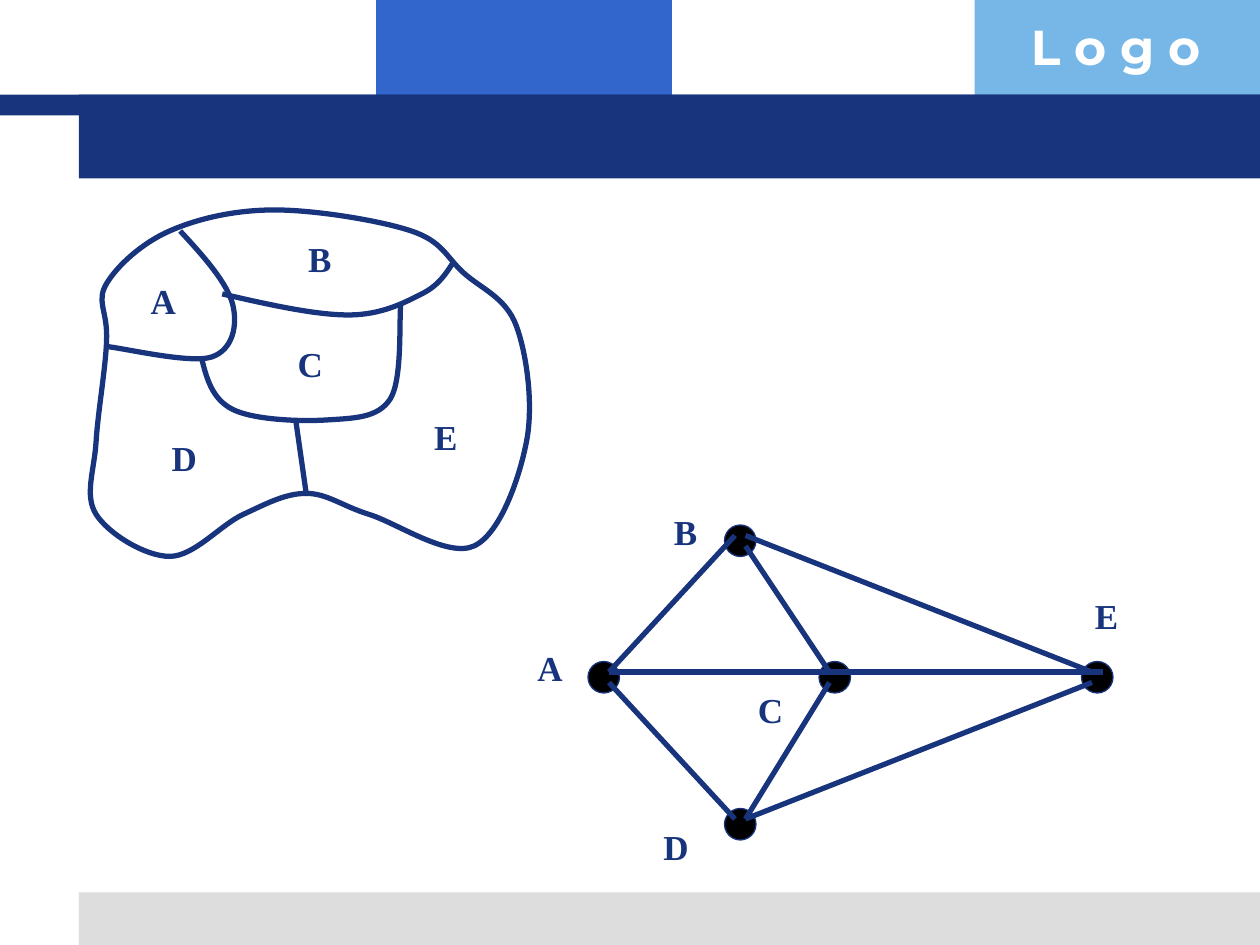
from lxml.etree import SubElement
from pptx import Presentation
from pptx.dml.color import RGBColor
from pptx.enum.shapes import MSO_CONNECTOR as Connector, MSO_SHAPE as Shape
from pptx.enum.text import MSO_AUTO_SIZE as AutoSize
from pptx.oxml.ns import qn
from pptx.util import Pt

COLORS = {"navy": "17347D", "blue": "3366CC", "sky": "77B7E7",
          "gray": "DDDDDD", "black": "000000", "white": "FFFFFF"}

BANDS = [
    (215, 0, 169, 66, "blue"),
    (557, 0, 163, 66, "sky"),
    (45, 510, 675, 30, "gray"),
    (0, 54, 720, 12, "navy"),
    (45, 54, 675, 48, "navy"),
]

MAP_OUTLINE = [
    (61, 162), (67, 152), (81, 139), (97, 132), (113, 125), (134, 120), (157, 120),
    (180, 120), (217, 126), (235, 132), (253, 138), (255, 147), (265, 156),
    (275, 165), (289, 170), (295, 186), (301, 202), (305, 231), (301, 252),
    (297, 273), (286, 305), (271, 312), (256, 319), (227, 299), (211, 294),
    (195, 289), (187, 282), (175, 282), (163, 282), (152, 288), (139, 294),
    (126, 300), (111, 318), (97, 318), (83, 318), (62, 305), (55, 294),
    (48, 283), (54, 269), (55, 252), (56, 235), (61, 207), (61, 192),
    (61, 177), (55, 172), (61, 162),
]

MAP_BORDERS = [
    [(103, 132), (117, 147), (130, 162), (133, 174), (136, 186), (133, 200), (121, 204),
     (109, 208), (71, 199), (61, 198)],
    [(115, 204), (118, 216), (121, 228), (133, 234), (145, 240), (172, 241), (187, 240),
     (202, 239), (216, 239), (223, 228), (230, 217), (228, 183), (229, 174)],
    [(127, 168), (153, 174), (180, 180), (199, 180), (218, 180), (231, 173), (241, 168),
     (251, 163), (255, 156), (259, 150)],
    [(169, 240), (169, 240), (172, 261), (175, 282)],
]

REGION_LABELS = {"A": (79, 156), "B": (169, 132), "C": (163, 192),
                 "D": (91, 246), "E": (241, 234)}
NODE_LABELS = {"A": (300, 366), "C": (426, 390), "B": (378, 288),
               "E": (618.5, 336), "D": (372, 468)}
NODES = [(414, 300), (336, 378), (468, 378), (414, 462), (618, 378)]
EDGES = [
    (474, 384, 426, 312),
    (624, 384, 426, 306),
    (348, 384, 420, 306),
    (420, 468, 348, 390),
    (624, 390, 426, 468),
    (426, 468, 474, 390),
    (630, 384, 348, 384),
]


def color(name):
    """Return the palette colour with this name."""
    return RGBColor.from_string(COLORS[name])


def set_line(shape, width):
    """Give a shape or connector a navy line."""
    shape.line.color.rgb = color("navy")
    shape.line.width = Pt(width)


def add_filled(slide, kind, left, top, width, height, fill, line_width=0):
    """Add a filled preset shape, outlined if a line width is given."""
    shape = slide.shapes.add_shape(kind, Pt(left), Pt(top), Pt(width), Pt(height))
    shape.shadow.inherit = False
    shape.fill.solid()
    shape.fill.fore_color.rgb = color(fill)
    if line_width:
        set_line(shape, line_width)
    else:
        shape.line.fill.background()


def add_curve(slide, points, closed=False):
    """Add a Bezier outline: a start point, then three points per segment."""
    builder = slide.shapes.build_freeform(*points[0], scale=float(Pt(1)))
    builder.add_line_segments(points[1:], close=closed)
    shape = builder.convert_to_shape()
    shape.shadow.inherit = False
    shape.fill.background()
    set_line(shape, 3)
    path = next(shape._element.iter(qn("a:path")))
    steps = path.findall(qn("a:lnTo"))
    for index in range(0, len(points) - 1, 3):
        curve = SubElement(path, qn("a:cubicBezTo"))
        for step in steps[index:index + 3]:
            curve.append(step[0])
            path.remove(step)
    for close in path.findall(qn("a:close")):
        path.append(close)


def add_edge(slide, *ends):
    """Add a straight graph edge."""
    edge = slide.shapes.add_connector(Connector.STRAIGHT, *map(Pt, ends))
    set_line(edge, 3)
    SubElement(edge._element.spPr, qn("a:effectLst"))


def add_text(slide, text, left, top, width, height, *, size=20,
             font="Times New Roman", fill="navy", wrap=False):
    """Add a bold line of text."""
    box = slide.shapes.add_textbox(Pt(left), Pt(top), Pt(width), Pt(height))
    frame = box.text_frame
    frame.word_wrap = wrap
    frame.auto_size = AutoSize.SHAPE_TO_FIT_TEXT
    run = frame.paragraphs[0].add_run()
    run.text = text
    run.font.size = Pt(size)
    run.font.name = font
    run.font.bold = True
    run.font.color.rgb = color(fill)


def add_labels(slide, labels):
    """Add the letter labels at their positions."""
    for letter, (left, top) in labels.items():
        add_text(slide, letter, left, top, 27.4 if letter in "BE" else 28.8, 31.7)


def main():
    """Build the slide with a map and its adjacency graph."""
    presentation = Presentation()
    presentation.slide_width, presentation.slide_height = Pt(720), Pt(540)
    slide = presentation.slides.add_slide(presentation.slide_layouts[6])
    for *bounds, fill in BANDS:
        add_filled(slide, Shape.RECTANGLE, *bounds, fill)
    add_text(slide, "L o g o", 582, 6, 138.5, 41, size=28, font="Montserrat",
             fill="white", wrap=True)
    add_curve(slide, MAP_OUTLINE, closed=True)
    for border in MAP_BORDERS:
        add_curve(slide, border)
    add_labels(slide, REGION_LABELS)
    for left, top in NODES:
        add_filled(slide, Shape.OVAL, left, top, 18, 18, "black", line_width=0.75)
    for edge in EDGES:
        add_edge(slide, *edge)
    add_labels(slide, NODE_LABELS)
    presentation.save("out.pptx")


if __name__ == "__main__":
    main()
